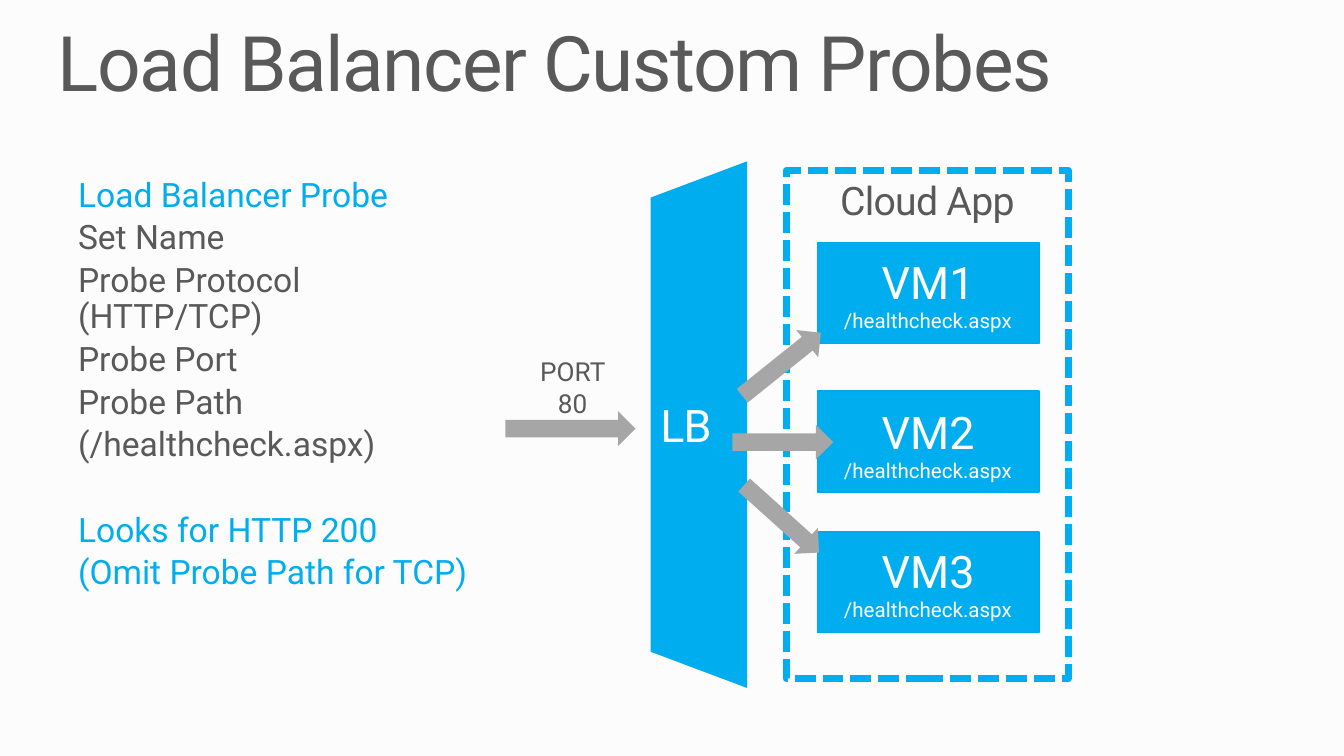
import pptx
import pptx.dml.color
import pptx.enum.dml
import pptx.enum.shapes
import pptx.enum.text
import pptx.util

Pt = pptx.util.Pt
SHAPE = pptx.enum.shapes.MSO_SHAPE
ALIGN = pptx.enum.text.PP_ALIGN
ANCHOR = pptx.enum.text.MSO_ANCHOR

BLUE, EDGE_BLUE = "00AEEF", "00AAEA"
GRAY, ARROW_GRAY, WHITE = "595959", "A6A6A6", "FFFFFF"


def rgb(value):
    return pptx.dml.color.RGBColor.from_string(value)


def write(box, lines, margins=(0, 0), anchor=ANCHOR.TOP, spacing=0, **paragraph_format):
    """Fill box with (text, size, colour) lines; margins are horizontal and vertical."""
    frame = box.text_frame
    across, down = (Pt(margin) for margin in margins)
    frame_format = {
        "word_wrap": True, "vertical_anchor": anchor,
        "margin_left": across, "margin_right": across,
        "margin_top": down, "margin_bottom": down,
    }
    for name, value in frame_format.items():
        setattr(frame, name, value)
    for index, (text, size, color) in enumerate(lines):
        paragraph = frame.paragraphs[0] if index == 0 else frame.add_paragraph()
        for name, value in paragraph_format.items():
            setattr(paragraph, name, value)
        run = paragraph.add_run()
        run.text = text
        for name, value in {"name": "Roboto", "size": Pt(size)}.items():
            setattr(run.font, name, value)
        run.font.color.rgb = rgb(color)
        if spacing:
            run.font._element.set("spc", str(round(spacing * 100)))


presentation = pptx.Presentation()
presentation.slide_width, presentation.slide_height = Pt(720), Pt(405)
slide = presentation.slides.add_slide(presentation.slide_layouts[6])
slide.background.fill.solid()
slide.background.fill.fore_color.rgb = rgb("FCFCFC")

title = slide.shapes.add_textbox(Pt(31), Pt(13.7), Pt(658.8), Pt(44.6))
write(title, [("Load Balancer Custom Probes", 41, GRAY)], spacing=-0.8, line_spacing=0.9)

# Cloud app and its virtual machines
cloud_app = slide.shapes.add_shape(SHAPE.RECTANGLE, Pt(421.2), Pt(91.4), Pt(151.2), Pt(272.2))
cloud_app.shadow.inherit = False
cloud_app.fill.background()
cloud_app.line.color.rgb = rgb(BLUE)
cloud_app.line.width = Pt(3.75)
cloud_app.line.dash_style = pptx.enum.dml.MSO_LINE.SQUARE_DOT
write(cloud_app, [("Cloud App", 21, GRAY)], (2.9, 2.9), spacing=-0.4, alignment=ALIGN.CENTER)

for name, top, label_top in [("VM1", 130, 138.2), ("VM2", 209.5, 218.5), ("VM3", 285, 293)]:
    machine = slide.shapes.add_group_shape().shapes
    block = machine.add_shape(SHAPE.RECTANGLE, Pt(437.8), Pt(top), Pt(118.8), Pt(54))
    block.shadow.inherit = False
    block.fill.solid()
    block.fill.fore_color.rgb = rgb(BLUE)
    block.line.color.rgb = rgb(EDGE_BLUE)
    block.line.width = Pt(0.75)
    label = machine.add_textbox(Pt(445.7), Pt(label_top), Pt(103), Pt(38.2))
    write(label, [(name, 24, WHITE), ("/healthcheck.aspx", 11, WHITE)],
          (0, 3.6), ANCHOR.MIDDLE, alignment=ALIGN.CENTER)

# Load balancer, turned on its side with upright text
balancer = slide.shapes.add_shape(SHAPE.TRAPEZOID, Pt(233.3), Pt(201.6), Pt(282.2), Pt(51.8))
balancer.rotation = 270
balancer.adjustments[0] = 0.376
balancer.shadow.inherit = False
balancer.fill.solid()
balancer.fill.fore_color.rgb = rgb(BLUE)
balancer.line.fill.background()
write(balancer, [("LB", 24, WHITE)], (2.9, 2.9), ANCHOR.MIDDLE, spacing=-0.4,
      alignment=ALIGN.LEFT)
balancer.text_frame._txBody.bodyPr.set("vert", "vert")

# Probe settings
settings = slide.shapes.add_textbox(Pt(41.8), Pt(95.4), Pt(214.6), Pt(259.5))
write(settings, [
    ("Load Balancer Probe", 18, BLUE),
    ("Set Name", 18, GRAY),
    ("Probe Protocol (HTTP/TCP)", 18, GRAY),
    ("Probe Port", 18, GRAY),
    ("Probe Path", 18, GRAY),
    ("(/healthcheck.aspx)", 18, GRAY),
    ("Looks for HTTP 200", 18, BLUE),
    ("(Omit Probe Path for TCP)", 18, BLUE),
], line_spacing=0.9, space_before=Pt(3.4))
settings.text_frame.paragraphs[0].space_before = Pt(0)
settings.text_frame.paragraphs[6].space_before = Pt(26.4)

# Traffic into the balancer and out to each machine
incoming = slide.shapes.add_group_shape().shapes
for parent, left, top, width, angle in [
    (incoming, 270.7, 220.3, 69.8, 0),
    (slide.shapes, 391.7, 185.8, 54, 321.3),
    (slide.shapes, 392.4, 227.5, 54, 0),
    (slide.shapes, 391.7, 268.6, 54, 42),
]:
    arrow = parent.add_shape(SHAPE.RIGHT_ARROW, Pt(left), Pt(top), Pt(width), Pt(18.7))
    arrow.rotation = angle
    arrow.shadow.inherit = False
    arrow.fill.solid()
    arrow.fill.fore_color.rgb = rgb(ARROW_GRAY)
    arrow.line.fill.background()

port = incoming.add_textbox(Pt(276.5), Pt(195.1), Pt(60.5), Pt(24.5))
write(port, [("PORT 80", 14, GRAY)], (3.6, 3.6), ANCHOR.MIDDLE, alignment=ALIGN.CENTER)

presentation.save("out.pptx")
